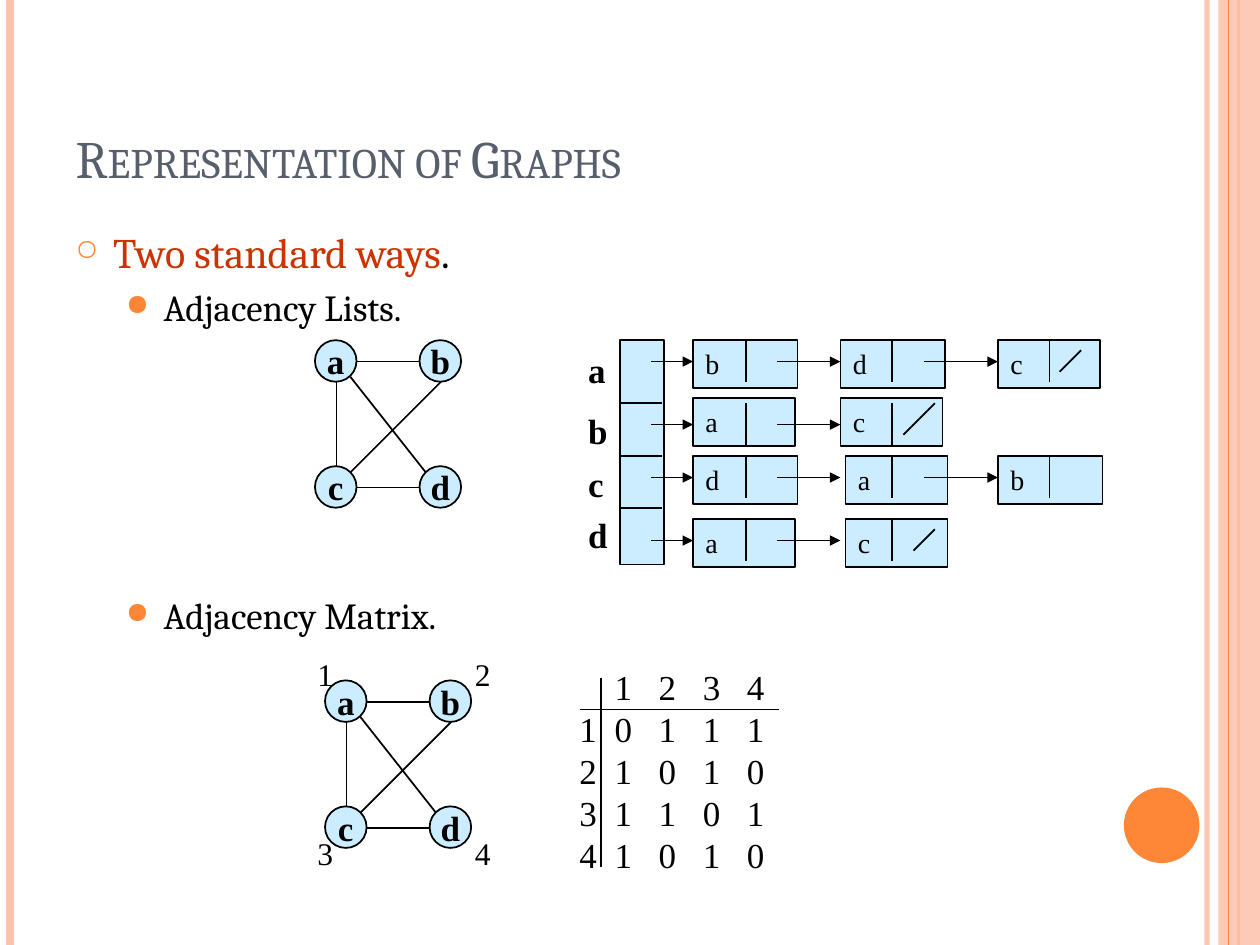
from dataclasses import dataclass

from lxml.etree import SubElement
from pptx import Presentation
from pptx.dml.color import RGBColor
from pptx.enum.shapes import MSO_CONNECTOR as Connector, MSO_SHAPE as Preset
from pptx.enum.text import MSO_ANCHOR as Anchor, MSO_AUTO_SIZE as AutoSize, PP_ALIGN as Align
from pptx.oxml.ns import qn
from pptx.util import Inches, Pt


@dataclass(frozen=True)
class Theme:
    ink: str = "000000"
    title: str = "575F6D"
    accent: str = "FE8637"
    pale: str = "FEC3AE"
    highlight: str = "CC3300"
    node: str = "CCECFF"
    heading_font: str = "Cambria"
    diagram_font: str = "Times New Roman"
    title_size: int = 30
    body_size: int = 24
    sub_size: int = 21
    node_size: int = 20
    number_size: int = 18
    cell_size: int = 16


class GraphSlide:
    """Draws the elements of one slide in one theme."""

    def __init__(self, slide, theme):
        self.slide = slide
        self.shapes = slide.shapes
        self.theme = theme

    def style(self, font, size, color=None, name=None, bold=False):
        font.name = name or self.theme.diagram_font
        font.size = Pt(size)
        font.bold = bold
        font.color.rgb = RGBColor.from_string(color or self.theme.ink)

    def fade(self, fill, percent):
        color = fill._xPr.find(".//" + qn("a:srgbClr"))
        SubElement(color, qn("a:alpha"), val=str(percent * 1000))

    def tabs(self, paragraph, stops):
        tab_list = SubElement(paragraph._p.get_or_add_pPr(), qn("a:tabLst"))
        for stop in stops:
            SubElement(tab_list, qn("a:tab"), pos=str(Inches(stop)), algn="l")

    def bullet(self, paragraph, mark, percent, margin):
        properties = paragraph._p.get_or_add_pPr()
        properties.set("marL", str(Inches(margin)))
        properties.set("indent", str(Inches(-0.3)))
        color = SubElement(properties, qn("a:buClr"))
        SubElement(color, qn("a:srgbClr"), val=self.theme.accent)
        SubElement(properties, qn("a:buSzPct"), val=str(percent * 1000))
        SubElement(properties, qn("a:buChar"), char=mark)

    def line(self, start, end, color=None, width=1, arrow=False, opacity=100):
        points = [Inches(value) for value in (*start, *end)]
        connector = self.shapes.add_connector(Connector.STRAIGHT, *points)
        connector.line.width = Pt(width)
        connector.line.color.rgb = RGBColor.from_string(color or self.theme.ink)
        if opacity < 100:
            self.fade(connector.line.fill, opacity)
        if arrow:
            SubElement(connector.line._get_or_add_ln(), qn("a:tailEnd"), type="triangle")
        SubElement(connector._element.spPr, qn("a:effectLst"))

    def shape(self, preset, left, top, width, height, fill, outlined=True):
        box = [Inches(value) for value in (left, top, width, height)]
        shape = self.shapes.add_shape(preset, *box)
        shape.shadow.inherit = False
        shape.fill.solid()
        shape.fill.fore_color.rgb = RGBColor.from_string(fill)
        if outlined:
            shape.line.width = Pt(1)
            shape.line.color.rgb = RGBColor.from_string(self.theme.ink)
        else:
            shape.line.fill.background()
        return shape

    def label(self, text, left, top, width, height, size, bold=False):
        box = [Inches(value) for value in (left, top, width, height)]
        frame = self.shapes.add_textbox(*box).text_frame
        frame.word_wrap = False
        paragraph = frame.paragraphs[0]
        paragraph.text = text
        self.style(paragraph.font, size, bold=bold)

    def decoration(self):
        theme = self.theme
        self.line((9.58, 0), (9.58, 7.5), theme.pale, 3, opacity=93)
        self.line((0.08, 0), (0.08, 7.5), theme.pale, 4.5)
        self.line((9.83, 0), (9.83, 7.5), theme.accent, 1.5)
        band = self.shape(Preset.RECTANGLE, 9.67, 0, 0.33, 7.5, theme.pale, False)
        self.fade(band.fill, 87)
        self.line((9.75, 0), (9.75, 7.5), theme.accent, 0.75)
        self.shape(Preset.OVAL, 8.92, 6.25, 0.6, 0.6, theme.accent, False)

    def title(self, text):
        title = self.shapes.title
        title.left, title.top = Inches(0.5), Inches(0.3)
        title.width, title.height = Inches(8.17), Inches(1.25)
        frame = title.text_frame
        frame.auto_size = AutoSize.NONE
        frame.vertical_anchor = Anchor.BOTTOM
        paragraph = frame.paragraphs[0]
        paragraph.text = text
        paragraph.alignment = Align.LEFT
        self.style(paragraph.font, self.theme.title_size, self.theme.title, self.theme.heading_font)
        paragraph.font._rPr.set("cap", "small")

    def body(self):
        theme = self.theme
        box = self.shapes.add_textbox(Inches(0.5), Inches(1.75), Inches(8.75), Inches(5.13))
        frame = box.text_frame
        frame.word_wrap = True
        opening = frame.paragraphs[0]
        self.bullet(opening, "○", 70, 0.3)
        for text, color in (("Two standard ways", theme.highlight), (".", theme.ink)):
            run = opening.add_run()
            run.text = text
            self.style(run.font, theme.body_size, color, theme.heading_font)
        for text, gap in (("Adjacency Lists.", 4.2), ("Adjacency Matrix.", 151)):
            paragraph = frame.add_paragraph()
            paragraph.text = text
            paragraph.level = 1
            self.bullet(paragraph, "●", 80, 0.7)
            paragraph.space_before = Pt(gap)
            self.style(paragraph.font, theme.sub_size, name=theme.heading_font)

    def node(self, text, left, top):
        frame = self.shape(Preset.OVAL, left, top, 0.33, 0.33, self.theme.node).text_frame
        frame.word_wrap = False
        frame.vertical_anchor = Anchor.MIDDLE
        paragraph = frame.paragraphs[0]
        paragraph.text = text
        paragraph.alignment = Align.CENTER
        self.style(paragraph.font, self.theme.node_size, bold=True)

    def graph(self, left, top):
        for index, letter in enumerate("abcd"):
            self.node(letter, left + index % 2 * 0.83, top + index // 2)
        edges = ((0.33, 0.17, 0.83, 0.17), (1, 0.33, 0.28, 1.05), (0.17, 0.33, 0.17, 1),
                 (0.28, 0.29, 0.88, 1.05), (0.33, 1.17, 0.83, 1.17))
        for x1, y1, x2, y2 in edges:
            self.line((left + x1, top + y1), (left + x2, top + y2))

    def cell(self, letter, left, top):
        width = 0.83 if letter in "bd" else 0.81
        shape = self.shape(Preset.RECTANGLE, left, top, width, 0.38, self.theme.node)
        frame = shape.text_frame
        frame.word_wrap = True
        frame.margin_right = 0
        frame.vertical_anchor = Anchor.TOP
        paragraph = frame.paragraphs[0]
        paragraph.alignment = Align.LEFT
        self.tabs(paragraph, [0.61])
        self.style(paragraph.font, self.theme.cell_size)
        for text in (letter, "\t"):
            run = paragraph.add_run()
            run.text = text
            run.font.underline = text == "\t"

    def adjacency_lists(self):
        self.shape(Preset.RECTANGLE, 4.92, 2.7, 0.35, 1.78, self.theme.node)
        for letter, top in zip("abcd", (2.72, 3.2, 3.62, 4.03)):
            self.label(letter, 4.57, top, 0.35, 0.43, self.theme.node_size, True)
            if letter != "a":
                self.line((4.92, top), (5.25, top))
        rows = (("bdc", 2.7, 2.7, 6.67), ("ac", 3.16, 3.2, 6.67),
                ("dab", 3.62, 3.62, 6.71), ("ac", 4.12, 4.12, 6.71))
        for letters, top, divider_top, second_left in rows:
            arrow_y = divider_top + 0.17
            columns = zip(letters, (5.5, second_left, 7.92), (5.92, 7.08, 8.33))
            for letter, left, divider in columns:
                self.cell(letter, left, top)
                self.line((divider, divider_top), (divider, divider_top + 0.33))
            for _, start, end in zip(letters, (5.17, 6.17, 7.33), (5.5, 6.67, 7.92)):
                self.line((start, arrow_y), (end, arrow_y), arrow=True)
        for x, y, size in ((8.58, 2.78, 0.17), (7.42, 3.2, 0.25), (7.42, 4.2, 0.17)):
            self.line((x, y), (x - size, y + size))

    def adjacency_matrix(self):
        for index in range(4):
            left, top = (2.42, 3.67)[index % 2], (5.15, 6.57)[index // 2]
            self.label(str(index + 1), left, top, 0.33, 0.4, self.theme.number_size)
        box = self.shapes.add_textbox(Inches(4.5), Inches(5.23), Inches(1.8), Inches(1.77))
        frame = box.text_frame
        frame.word_wrap = True
        for index, row in enumerate((" 1234", "10111", "21010", "31101", "41010")):
            paragraph = frame.add_paragraph() if index else frame.paragraphs[0]
            paragraph.text = "\t".join(row.strip() if index else row.replace(" ", "\0")).replace("\0", "")
            self.tabs(paragraph, [0.28 + 0.35 * column for column in range(4)])
            self.style(paragraph.font, self.theme.node_size)
        self.line((4.6, 5.63), (6.18, 5.63))
        self.line((4.77, 5.38), (4.77, 6.88))


def main():
    presentation = Presentation()
    presentation.slide_width, presentation.slide_height = Inches(10), Inches(7.5)
    slide = presentation.slides.add_slide(presentation.slide_layouts[5])
    page = GraphSlide(slide, Theme())
    page.decoration()
    page.title("Representation of Graphs")
    page.body()
    page.graph(2.5, 2.7)
    page.adjacency_lists()
    page.graph(2.58, 5.4)
    page.adjacency_matrix()
    presentation.save("out.pptx")


if __name__ == "__main__":
    main()
